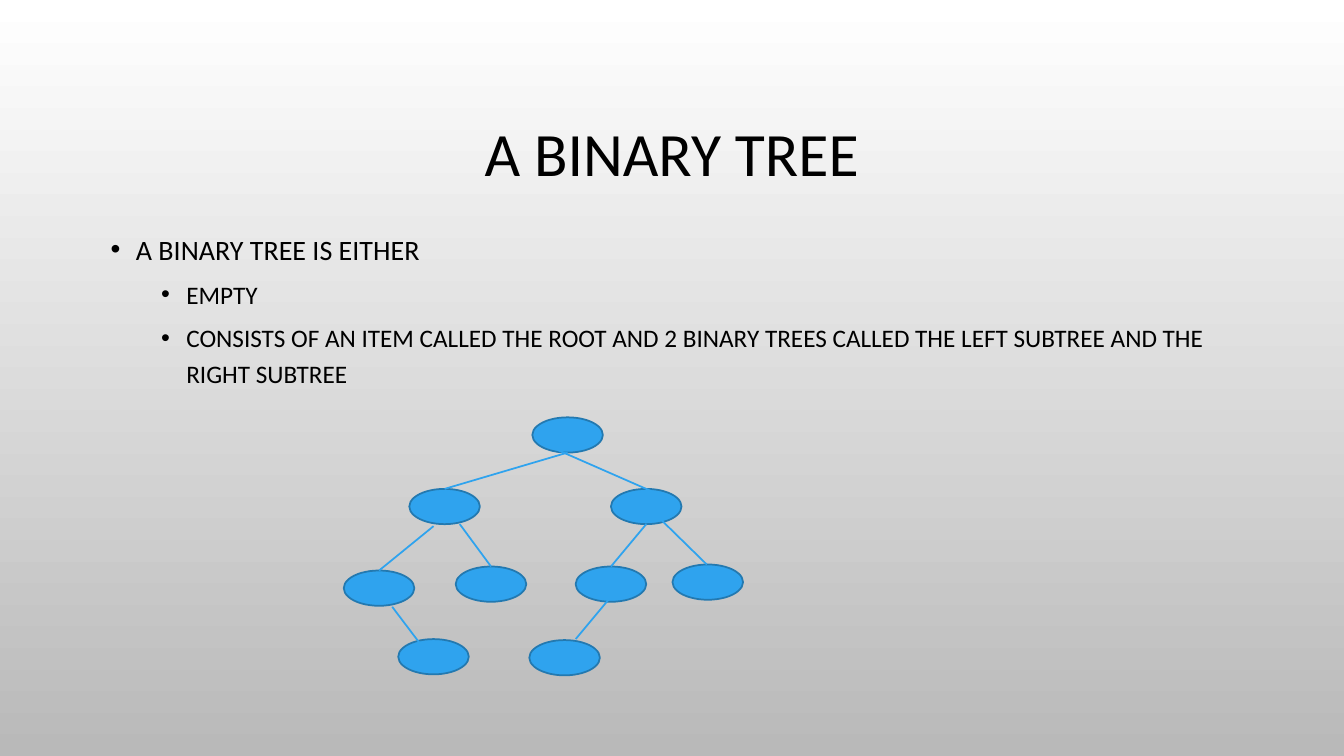
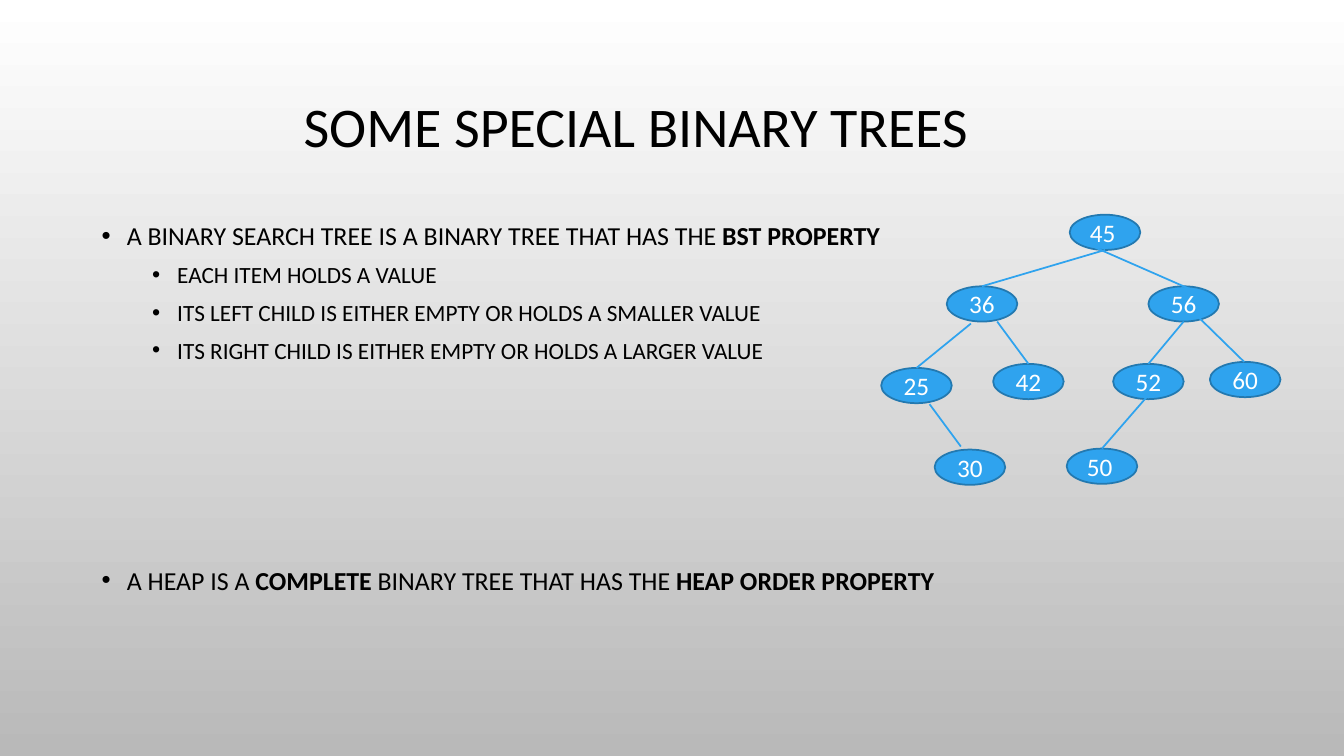
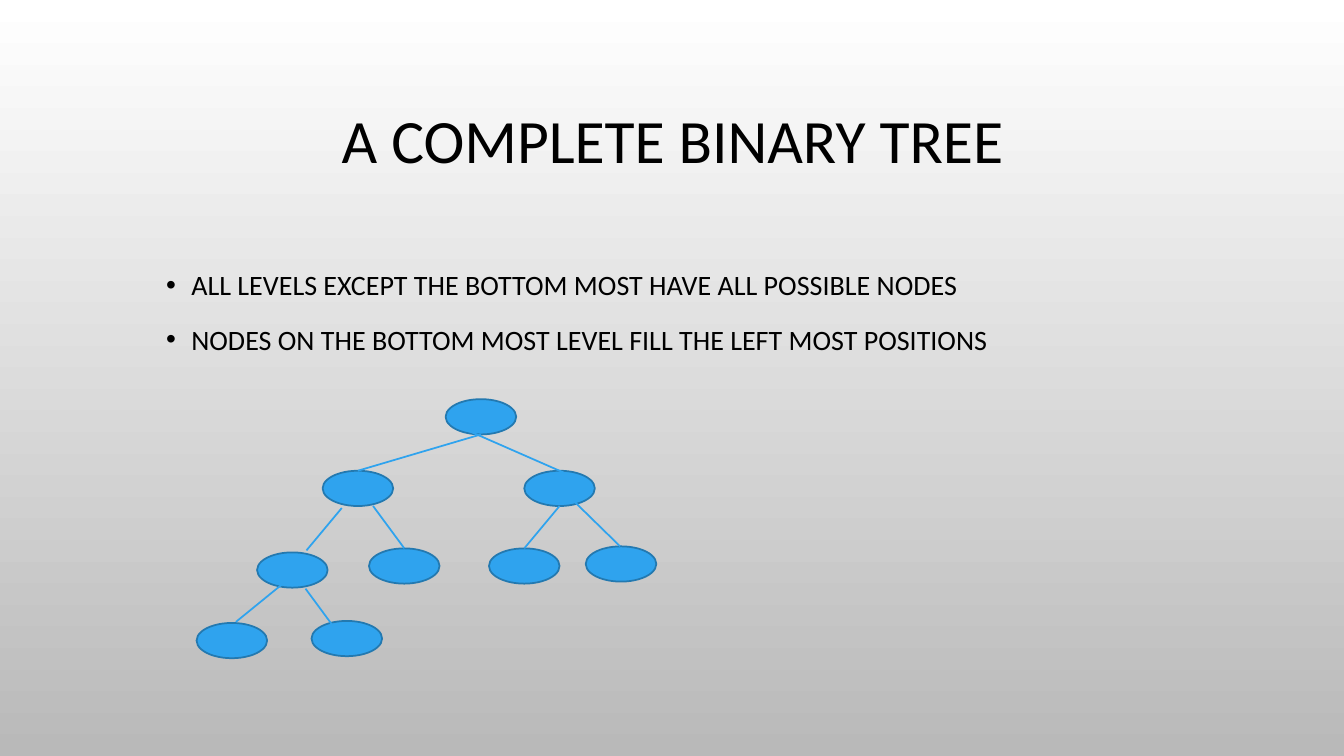
from lxml import etree
from pptx import Presentation
from pptx.dml.color import RGBColor
from pptx.enum import shapes, text
from pptx.oxml.ns import qn
from pptx.util import Inches, Pt


class Theme:
    font = "Calibri"
    ink, paper, shade = "000000", "FFFFFF", "B9B9B9"
    node, node_edge = "2FA3EE", "2379B0"
    line = 1.25
    node_text = 18


# ---- Content: bullets are (level, text, space before); *stars* mark bold ----
SLIDES = [
    {
        "title": "A BINARY TREE", "title_at": (1, 0.68), "title_size": 44,
        "body_at": (1, 2.19), "sizes": (20, 18), "spacing": 1.2,
        "bullets": [
            (0, "A BINARY TREE IS EITHER", 10),
            (1, "EMPTY", 5),
            (1, "CONSISTS OF AN ITEM CALLED THE ROOT AND 2 BINARY TREES "
                "CALLED THE LEFT SUBTREE AND THE RIGHT SUBTREE", 5),
        ],
        "root": (5.28, 4.14), "values": [],
        "leaves": [(-1.33, 2.20), (-0.03, 2.21)],
        "branches": [(-0.98, 1.08, -1.52, 1.52), (-1.39, 1.88, -1.08, 2.29),
                     (0.78, 1.78, 0.43, 2.20)],
    },
    {
        "title": "SOME SPECIAL BINARY TREES", "title_at": (0.64, 0.41), "title_size": 40,
        "body_at": (0.91, 2.1), "sizes": (18.5, 16.6), "spacing": 1.1,
        "bullets": [
            (0, "A BINARY SEARCH TREE IS A BINARY TREE THAT HAS THE *BST PROPERTY*", 10),
            (1, "EACH ITEM HOLDS A VALUE", 5),
            (1, "ITS LEFT CHILD IS EITHER EMPTY OR HOLDS A SMALLER VALUE", 5),
            (1, "ITS RIGHT CHILD IS EITHER EMPTY OR HOLDS A LARGER VALUE", 5),
            (0, "A HEAP IS A *COMPLETE* BINARY TREE THAT HAS THE *HEAP ORDER PROPERTY*", 141),
        ],
        "root": (10.61, 2.13),
        "values": ["45", "36", "56", "42", "25", "52", "60", "30", "50"],
        "left_aligned": ("45", "50"),
        "leaves": [(-1.34, 2.33), (-0.03, 2.32)],
        "branches": [(-0.98, 1.08, -1.52, 1.52), (-1.39, 1.88, -1.08, 2.30),
                     (0.78, 1.79, 0.32, 2.32)],
    },
    {
        "title": "A COMPLETE BINARY TREE", "title_at": (1.01, 0.55), "title_size": 44,
        "body_at": (1.55, 2.54), "sizes": (20, 18), "spacing": 1.2,
        "bullets": [
            (0, "ALL LEVELS EXCEPT THE BOTTOM MOST HAVE ALL POSSIBLE NODES", 10),
            (0, "NODES ON THE BOTTOM MOST LEVEL FILL THE LEFT MOST POSITIONS", 10),
        ],
        "root": (4.42, 3.96), "values": [],
        "leaves": [(-1.33, 2.20), (-2.47, 2.22)],
        "branches": [(-1.03, 1.08, -1.38, 1.50), (-1.39, 1.88, -1.08, 2.30),
                     (-1.54, 1.77, -2.08, 2.21)],
    },
]

# Top three levels of every tree, as offsets from the root's corner
UPPER_NODES = [(0, 0), (-1.22, 0.71), (0.78, 0.71), (-0.76, 1.48),
               (-1.87, 1.52), (0.43, 1.48), (1.39, 1.46)]
UPPER_BRANCHES = [(0.35, 0.35, -0.87, 0.71), (0.08, 0.25, 1.22, 0.75),
                  (1.13, 1.06, 0.78, 1.48), (1.26, 1.00, 1.73, 1.46),
                  (-0.72, 1.06, -0.41, 1.48)]
NODE_SIZE = (0.7, 0.35)
TITLE_SIZE = (11.33, 1.75)
BODY_SIZE = (11.33, 3.74)


def rgb(code):
    return RGBColor.from_string(code)


def write(paragraph, words, size, color=Theme.ink, align=None, spacing=None, before=None):
    paragraph.alignment = align
    paragraph.line_spacing = spacing
    if before is not None:
        paragraph.space_before = Pt(before)
    for i, part in enumerate(words.split("*")):
        if part:
            run = paragraph.add_run()
            run.text = part
            run.font.name, run.font.size = Theme.font, Pt(size)
            run.font.bold = i % 2 == 1
            run.font.color.rgb = rgb(color)


def add_bullet(paragraph, level):
    paragraph.level = level
    props = paragraph._p.get_or_add_pPr()
    props.set("marL", str(Inches(0.25 + 0.5 * level)))
    props.set("indent", str(Inches(-0.25)))
    etree.SubElement(props, qn("a:buFont")).set("typeface", "Arial")
    etree.SubElement(props, qn("a:buChar")).set("char", "•")


def add_frame(slide, at, size, anchor):
    frame = slide.shapes.add_textbox(*map(Inches, at + size)).text_frame
    frame.word_wrap = True
    frame.vertical_anchor = anchor
    return frame


def add_node(slide, x, y, value, align):
    node = slide.shapes.add_shape(shapes.MSO_SHAPE.OVAL, *map(Inches, (x, y) + NODE_SIZE))
    node.shadow.inherit = False
    node.fill.solid()
    node.fill.fore_color.rgb = rgb(Theme.node)
    node.line.color.rgb = rgb(Theme.node_edge)
    node.line.width = Pt(Theme.line)
    if value:
        node.text_frame.vertical_anchor = text.MSO_ANCHOR.MIDDLE
        write(node.text_frame.paragraphs[0], value, Theme.node_text,
              color=Theme.paper, align=align)


def add_branch(slide, *ends):
    branch = slide.shapes.add_connector(shapes.MSO_CONNECTOR.STRAIGHT, *map(Inches, ends))
    branch.line.color.rgb = rgb(Theme.node)
    branch.line.width = Pt(Theme.line)
    etree.SubElement(branch._element.spPr, qn("a:effectLst"))


def add_tree(slide, content):
    left, top = content["root"]
    nodes = UPPER_NODES + content["leaves"]
    values = content["values"] or [""] * len(nodes)
    for (dx, dy), value in zip(nodes, values):
        flush = value in content.get("left_aligned", ())
        add_node(slide, left + dx, top + dy, value,
                 text.PP_ALIGN.LEFT if flush else text.PP_ALIGN.CENTER)
    for x1, y1, x2, y2 in UPPER_BRANCHES + content["branches"]:
        add_branch(slide, left + x1, top + y1, left + x2, top + y2)


# ---- Shared background ----
deck = Presentation()
deck.slide_width, deck.slide_height = Inches(13.33), Inches(7.5)
backdrop = deck.slide_master.background.fill
backdrop.gradient()
backdrop.gradient_angle = 270
for stop, position, color in zip(backdrop.gradient_stops, (0, 1), (Theme.paper, Theme.shade)):
    stop.position = position
    stop.color.rgb = rgb(color)

# ---- Slides ----
for content in SLIDES:
    slide = deck.slides.add_slide(deck.slide_layouts[6])
    title = add_frame(slide, content["title_at"], TITLE_SIZE, text.MSO_ANCHOR.MIDDLE)
    write(title.paragraphs[0], content["title"], content["title_size"],
          align=text.PP_ALIGN.CENTER, spacing=0.9)

    body = add_frame(slide, content["body_at"], BODY_SIZE, text.MSO_ANCHOR.TOP)
    for i, (level, words, before) in enumerate(content["bullets"]):
        bullet = body.add_paragraph() if i else body.paragraphs[0]
        write(bullet, words, content["sizes"][level],
              spacing=content["spacing"], before=before)
        add_bullet(bullet, level)

    add_tree(slide, content)

deck.save("out.pptx")
